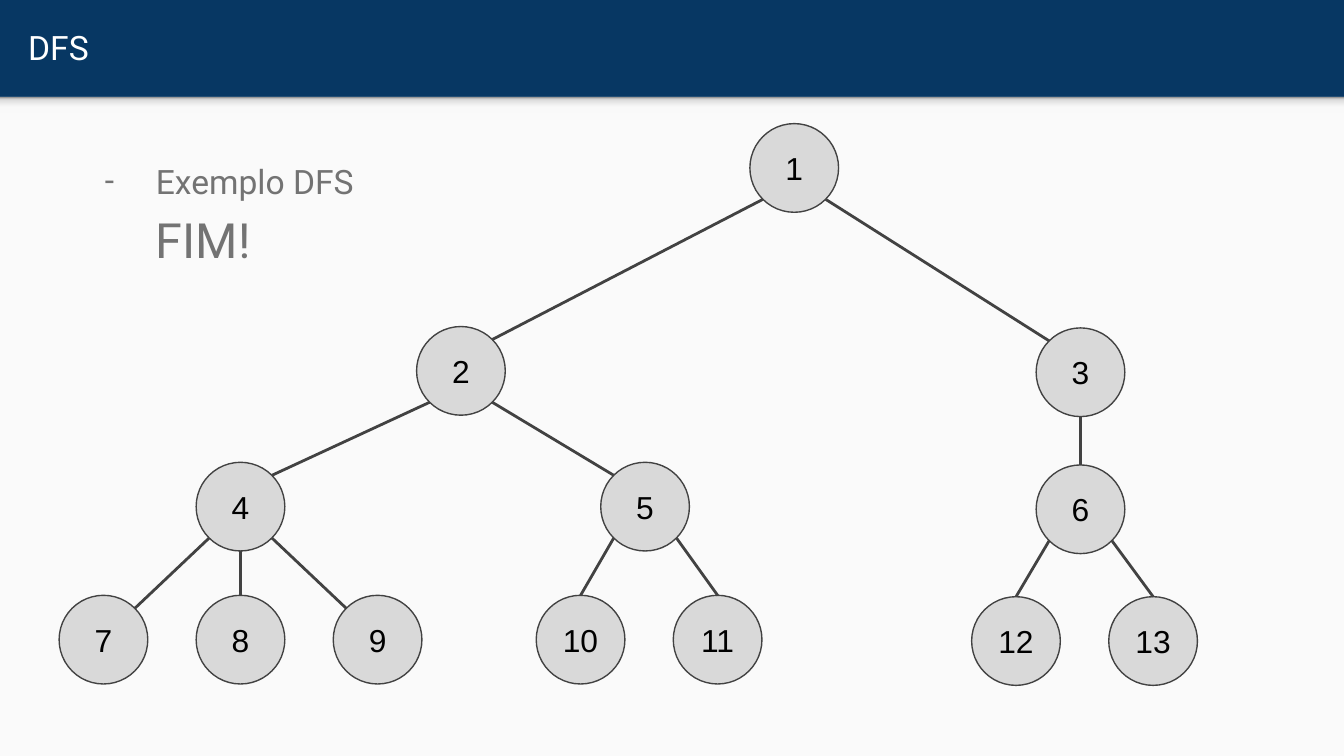
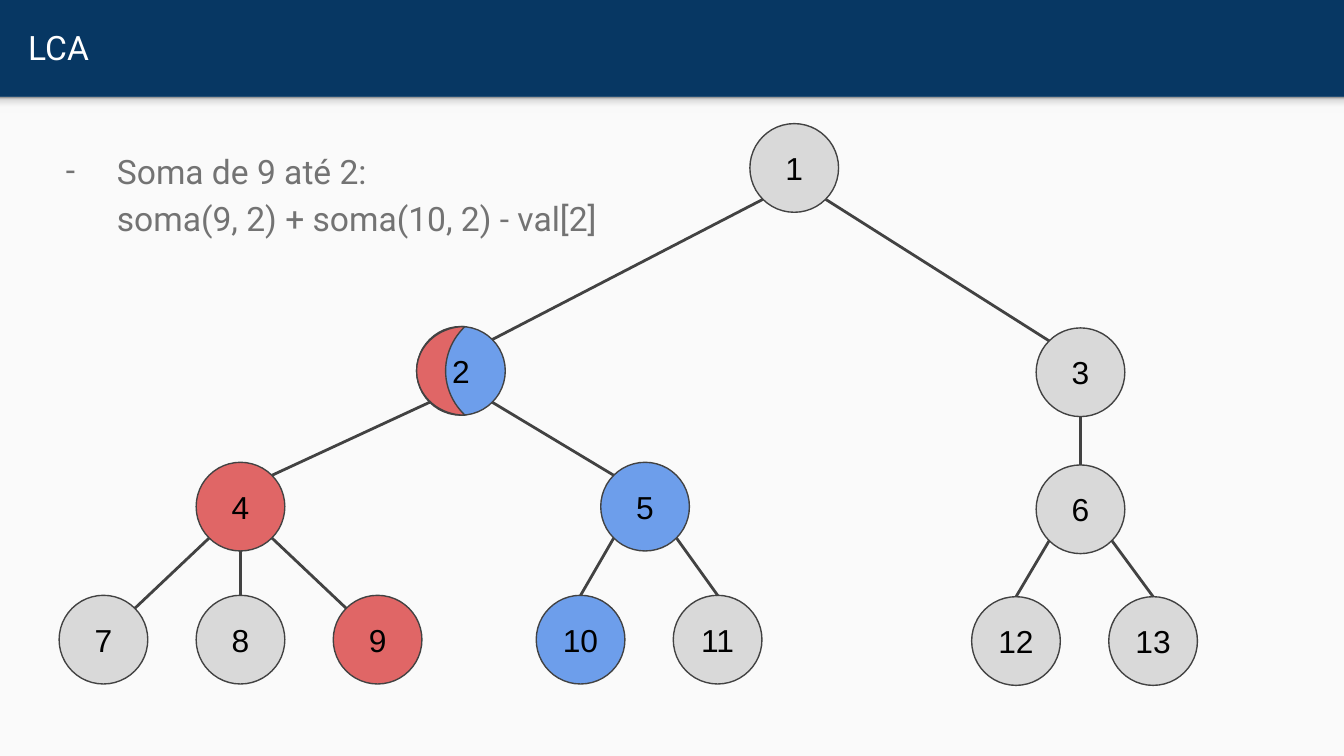
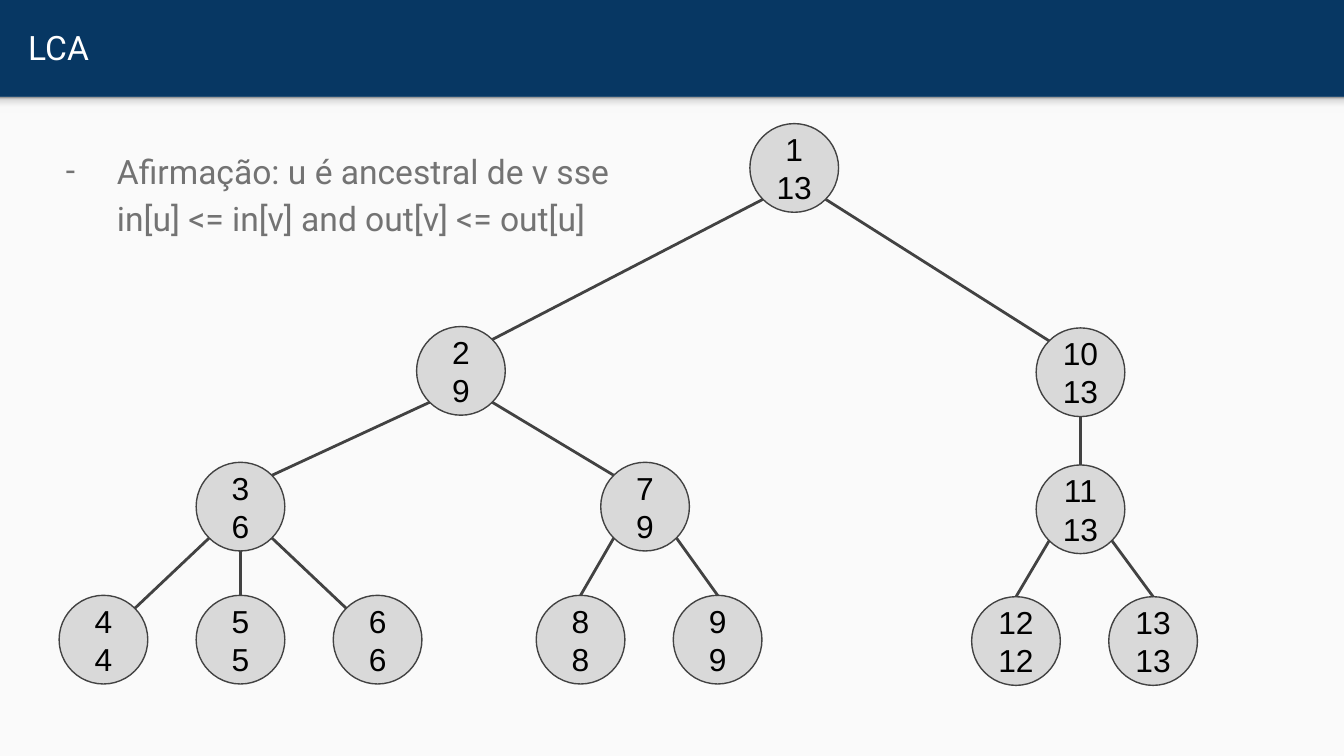
from dataclasses import dataclass, field
from enum import Enum
from math import sqrt

from lxml.etree import SubElement
from pptx import Presentation
from pptx.dml.color import RGBColor
from pptx.enum.shapes import MSO_CONNECTOR, MSO_SHAPE
from pptx.enum.text import MSO_ANCHOR, MSO_AUTO_SIZE, PP_ALIGN
from pptx.oxml.ns import qn
from pptx.util import Inches, Pt

NAVY = "073763"
PAPER = "FAFAFA"
WHITE = "FFFFFF"
BLACK = "000000"
TEXT_GREY = "737373"
OUTLINE = "424242"
NODE_GREY = "D9D9D9"
RED = "E06666"
BLUE = "6D9EEB"
SHADOW_STOPS = ((0, "F9F9F9"), (36, "F9F9F9"), (80, "DEDEDE"), (100, "999999"))

WIDTH = 10
HEIGHT = WIDTH * 9 / 16
BAND_HEIGHT = 0.72
DIAMETER = 0.66
RADIUS = DIAMETER / 2
DIAGONAL = 1 / sqrt(2)


class Side(Enum):
    TOP = (0, -1)
    BOTTOM = (0, 1)
    TOP_LEFT = (-DIAGONAL, -DIAGONAL)
    TOP_RIGHT = (DIAGONAL, -DIAGONAL)
    BOTTOM_LEFT = (-DIAGONAL, DIAGONAL)
    BOTTOM_RIGHT = (DIAGONAL, DIAGONAL)


@dataclass(frozen=True)
class Node:
    left: float
    top: float

    def point(self, side: Side) -> tuple:
        across, down = side.value
        return (Inches(self.left + RADIUS * (1 + across)),
                Inches(self.top + RADIUS * (1 + down)))


@dataclass(frozen=True)
class Edge:
    parent: int
    leaving: Side
    child: int
    entering: Side


@dataclass(frozen=True)
class TreePage:
    title: str
    lines: tuple
    sizes: tuple
    area: tuple
    labels: dict
    fills: dict = field(default_factory=dict)
    split_node: int = 0


NODES = {
    1: Node(5.58, 0.92),
    2: Node(3.1, 2.43), 3: Node(7.71, 2.44),
    4: Node(1.46, 3.44), 5: Node(4.47, 3.44), 6: Node(7.71, 3.46),
    7: Node(0.44, 4.43), 8: Node(1.46, 4.43), 9: Node(2.48, 4.43),
    10: Node(3.99, 4.43), 11: Node(5.01, 4.43),
    12: Node(7.23, 4.44), 13: Node(8.25, 4.44),
}

EDGES = (
    Edge(1, Side.BOTTOM_LEFT, 2, Side.TOP_RIGHT),
    Edge(1, Side.BOTTOM_RIGHT, 3, Side.TOP_LEFT),
    Edge(2, Side.BOTTOM_LEFT, 4, Side.TOP_RIGHT),
    Edge(2, Side.BOTTOM_RIGHT, 5, Side.TOP_LEFT),
    Edge(3, Side.BOTTOM, 6, Side.TOP),
    Edge(4, Side.BOTTOM_LEFT, 7, Side.TOP_RIGHT),
    Edge(4, Side.BOTTOM, 8, Side.TOP),
    Edge(4, Side.BOTTOM_RIGHT, 9, Side.TOP_LEFT),
    Edge(5, Side.BOTTOM_LEFT, 10, Side.TOP),
    Edge(5, Side.BOTTOM_RIGHT, 11, Side.TOP),
    Edge(6, Side.BOTTOM_LEFT, 12, Side.TOP),
    Edge(6, Side.BOTTOM_RIGHT, 13, Side.TOP),
)

NUMBERS = {number: str(number) for number in NODES}
VISIT_TIMES = {
    1: "1\n13", 2: "2\n9", 3: "10\n13", 4: "3\n6", 5: "7\n9", 6: "11\n13",
    7: "4\n4", 8: "5\n5", 9: "6\n6", 10: "8\n8", 11: "9\n9",
    12: "12\n12", 13: "13\n13",
}
LCA_AREA = (0.27, 0.98, 4.44, 1.76)

PAGES = (
    TreePage("DFS", ("Exemplo DFS", "FIM!"), (18, 26),
             (0.56, 1.05, 4.69, 1.56), NUMBERS),
    TreePage("LCA", ("Soma de 9 até 2:", "soma(9, 2) + soma(10, 2) - val[2]"),
             (18, 18), LCA_AREA, NUMBERS,
             {4: RED, 9: RED, 2: BLUE, 5: BLUE, 10: BLUE}, 2),
    TreePage("LCA", ("Afirmação: u é ancestral de v sse",
                     "in[u] <= in[v] and out[v] <= out[u]"),
             (18, 18), LCA_AREA, VISIT_TIMES),
)


def color(value: str) -> RGBColor:
    return RGBColor.from_string(value)


def place(shape, left: float, top: float, width: float, height: float) -> None:
    shape.left, shape.top = Inches(left), Inches(top)
    shape.width, shape.height = Inches(width), Inches(height)


def add_preset(page, preset, area: tuple, fill: str, outline: str = ""):
    shape = page.shapes.add_shape(preset, *map(Inches, area))
    shape.shadow.inherit = False
    shape.fill.solid()
    shape.fill.fore_color.rgb = color(fill)
    if outline:
        shape.line.color.rgb = color(outline)
        shape.line.width = Pt(0.75)
    else:
        shape.line.fill.background()
    return shape


def format_span(span, size: float, font: str, fill: str) -> None:
    span.font.size = Pt(size)
    span.font.name = font
    span.font.color.rgb = color(fill)


def prepare_frame(frame, anchor, wrap: bool = True) -> None:
    frame.auto_size = MSO_AUTO_SIZE.NONE
    frame.word_wrap = wrap
    frame.vertical_anchor = anchor
    frame.margin_left = frame.margin_right = Inches(0.1)
    frame.margin_top = frame.margin_bottom = Inches(0.1)


def build_layout(layout, page) -> None:
    layout.background.fill.solid()
    layout.background.fill.fore_color.rgb = color(NAVY)
    paper = add_preset(page, MSO_SHAPE.RECTANGLE,
                       (0, BAND_HEIGHT, WIDTH, HEIGHT - BAND_HEIGHT), PAPER)
    shade = add_preset(page, MSO_SHAPE.RECTANGLE,
                       (0, BAND_HEIGHT, WIDTH, 0.12), PAPER)
    shade.fill.gradient()
    shade.fill.gradient_angle = 90
    stops = shade.element.find(".//" + qn("a:gsLst"))
    for stop in list(stops):
        stops.remove(stop)
    for position, value in SHADOW_STOPS:
        stop = SubElement(stops, qn("a:gs"), pos=str(position * 1000))
        SubElement(stop, qn("a:srgbClr"), val=value)
    for index, shape in enumerate((paper, shade)):
        layout.shapes.element.insert(2 + index, shape.element)


def write_title(box, title: str) -> None:
    place(box, 0.11, 0.02, 9.65, 0.66)
    prepare_frame(box.text_frame, MSO_ANCHOR.MIDDLE)
    box.text_frame.text = title
    paragraph = box.text_frame.paragraphs[0]
    paragraph.alignment = PP_ALIGN.LEFT
    format_span(paragraph.runs[0], 18, "Roboto", WHITE)


def write_body(box, content: TreePage) -> None:
    place(box, *content.area)
    prepare_frame(box.text_frame, MSO_ANCHOR.TOP)
    paragraph = box.text_frame.paragraphs[0]
    paragraph.text = "\n".join(content.lines)
    paragraph.line_spacing = 1.15
    paragraph.space_before = Pt(0)
    for span, size in zip(paragraph.runs, content.sizes):
        format_span(span, size, "Roboto", TEXT_GREY)
    properties = box.element.find(".//" + qn("a:pPr"))
    properties.set("marL", str(Inches(0.5)))
    properties.set("indent", str(Inches(-0.38)))
    bullet_color = SubElement(properties, qn("a:buClr"))
    SubElement(bullet_color, qn("a:srgbClr"), val=TEXT_GREY)
    SubElement(properties, qn("a:buSzPts"), val="1800")
    SubElement(properties, qn("a:buFont"), typeface="Roboto")
    SubElement(properties, qn("a:buChar"), char="-")


def draw_node(page, node: Node, label: str, fill: str) -> None:
    circle = add_preset(page, MSO_SHAPE.OVAL,
                        (node.left, node.top, DIAMETER, DIAMETER), fill, OUTLINE)
    prepare_frame(circle.text_frame, MSO_ANCHOR.MIDDLE, wrap=False)
    paragraph = circle.text_frame.paragraphs[0]
    paragraph.text = label
    paragraph.alignment = PP_ALIGN.CENTER
    for span in paragraph.runs:
        format_span(span, 17, "Arial", BLACK)


def draw_edge(page, edge: Edge) -> None:
    start = NODES[edge.parent].point(edge.leaving)
    end = NODES[edge.child].point(edge.entering)
    line = page.shapes.add_connector(MSO_CONNECTOR.STRAIGHT, *start, *end)
    line.line.color.rgb = color(OUTLINE)
    line.line.width = Pt(1.5)
    SubElement(line.element.spPr, qn("a:effectLst"))


def draw_split(page, node: Node) -> None:
    moon = add_preset(page, MSO_SHAPE.MOON,
                      (node.left, node.top, 0.36, DIAMETER), RED, OUTLINE)
    moon.adjustments[0] = 0.6


def fill_page(page, content: TreePage) -> None:
    write_title(page.shapes.title, content.title)
    for number, node in NODES.items():
        draw_node(page, node, content.labels[number],
                  content.fills.get(number, NODE_GREY))
    for edge in EDGES:
        draw_edge(page, edge)
    write_body(page.placeholders[1], content)
    if content.split_node:
        draw_split(page, NODES[content.split_node])


def main() -> None:
    deck = Presentation()
    deck.slide_width, deck.slide_height = Inches(WIDTH), Inches(HEIGHT)
    layout = deck.slide_layouts[1]
    pages = [deck.slides.add_slide(layout) for _ in PAGES]
    build_layout(layout, pages[0])
    for page, content in zip(pages, PAGES):
        fill_page(page, content)
    deck.save("out.pptx")


if __name__ == "__main__":
    main()
